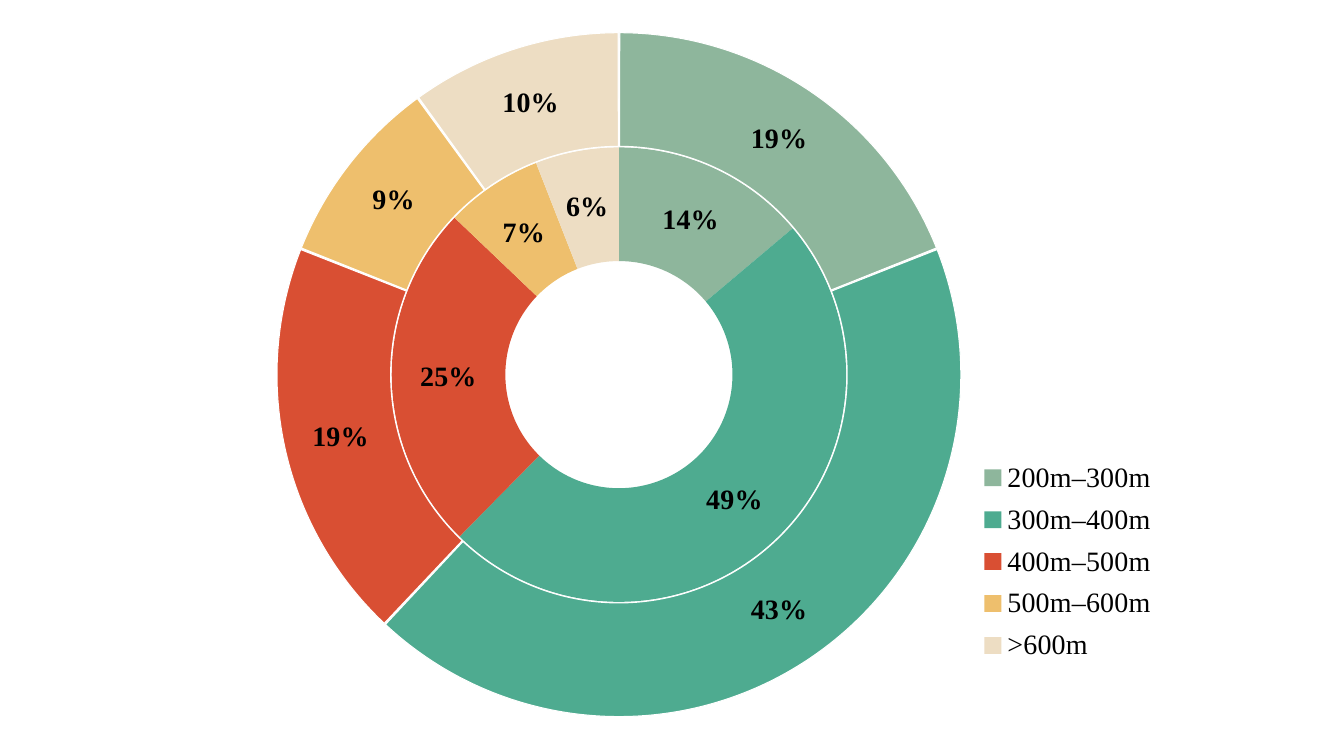
from lxml.etree import SubElement, Element
from pptx import Presentation
from pptx.chart.data import CategoryChartData
from pptx.dml.color import RGBColor
from pptx.enum.chart import XL_CHART_TYPE as ChartType, XL_LEGEND_POSITION as LegendPos
from pptx.oxml.ns import qn
from pptx.util import Cm, Pt

BANDS = {
    "200m–300m": "8EB69C",
    "300m–400m": "4EAB90",
    "400m–500m": "D94F33",
    "500m–600m": "EEBF6D",
    ">600m": "EDDDC3",
}
RINGS = {"Series 1": (14, 49, 25, 7, 6), "Series 2": (19, 43, 19, 9, 10)}


def rgb(value):
    """Turn a hex string into a colour."""
    return RGBColor.from_string(value)


def layout(x, y, w, h, inner=False):
    """Return a manual layout given in fractions of the chart."""
    el = Element(qn("c:layout"))
    manual = SubElement(el, qn("c:manualLayout"))
    parts = [("layoutTarget", "inner")] if inner else []
    parts += [("xMode", "edge"), ("yMode", "edge"), ("x", x), ("y", y), ("w", w), ("h", h)]
    for tag, val in parts:
        SubElement(manual, qn(f"c:{tag}")).set("val", str(val))
    return el


class Deck:
    """Hold the style and the current slide."""

    font, size, ink, edge = "Times New Roman", 20, "000000", "FFFFFF"

    def __init__(self, prs):
        """Add a blank slide to the presentation."""
        self.s = prs.slides.add_slide(prs.slide_layouts[6])

    def style(self, font, bold=False):
        """Apply the house font."""
        font.name, font.size, font.bold = self.font, Pt(self.size), bold
        font.color.rgb = rgb(self.ink)

    def doughnut(self, x, y, w, h, bands, rings):
        """Add a doughnut chart with one ring per series."""
        data = CategoryChartData()
        data.categories = list(bands)
        for name, values in rings.items():
            data.add_series(name, values)
        frame = self.s.shapes.add_chart(ChartType.DOUGHNUT, Cm(x), Cm(y), Cm(w), Cm(h), data)
        chart = frame.chart
        chart.has_title = False
        self.style(chart.font)
        for series in chart.plots[0].series:
            self.ring(series, bands.values())
        self.explode(chart.plots[0].series[-1], 1)
        return chart

    def ring(self, series, colours):
        """Colour the slices of a ring and label them with percentages."""
        for i, colour in enumerate(colours):
            fmt = series.points[i].format
            fmt.fill.solid()
            fmt.fill.fore_color.rgb = rgb(colour)
            fmt.line.fill.background()
        labels = series.data_labels
        labels.show_percentage, labels.show_value = True, False
        labels.number_format, labels.number_format_is_linked = "0%", False
        self.style(labels.font, bold=True)

    def explode(self, series, percent):
        """Set the slices of a ring apart with thin white edges."""
        for i in range(len(series.values)):
            line = series.points[i].format.line
            line.color.rgb, line.width = rgb(self.edge), Pt(0.75)
        explosion = Element(qn("c:explosion"))
        explosion.set("val", str(percent))
        series.points[0].format
        series._element.find(qn("c:dPt")).addprevious(explosion)

    def legend(self, chart, x, y, w, h):
        """Add a legend at the right, placed by fractions of the chart."""
        chart.has_legend = True
        legend = chart.legend
        legend.position, legend.include_in_layout = LegendPos.RIGHT, False
        self.style(legend.font)
        el = legend._element
        for old in el.findall(qn("c:layout")):
            el.remove(old)
        el.find(qn("c:legendPos")).addnext(layout(x, y, w, h))

    def plot_area(self, chart, x, y, w, h):
        """Place the rings by fractions of the chart."""
        area = chart.plots[0]._element.getparent()
        for old in area.findall(qn("c:layout")):
            area.remove(old)
        area.insert(0, layout(x, y, w, h, inner=True))


def main():
    """Build the slide."""
    prs = Presentation()
    prs.slide_width, prs.slide_height = Cm(33.87), Cm(19.05)
    deck = Deck(prs)
    chart = deck.doughnut(6.27, 0.3, 23.32, 18.47, BANDS, RINGS)
    deck.plot_area(chart, 0.03, 0.03, 0.74, 0.93)
    deck.legend(chart, 0.79, 0.6, 0.19, 0.3)
    prs.save("out.pptx")


if __name__ == "__main__":
    main()
